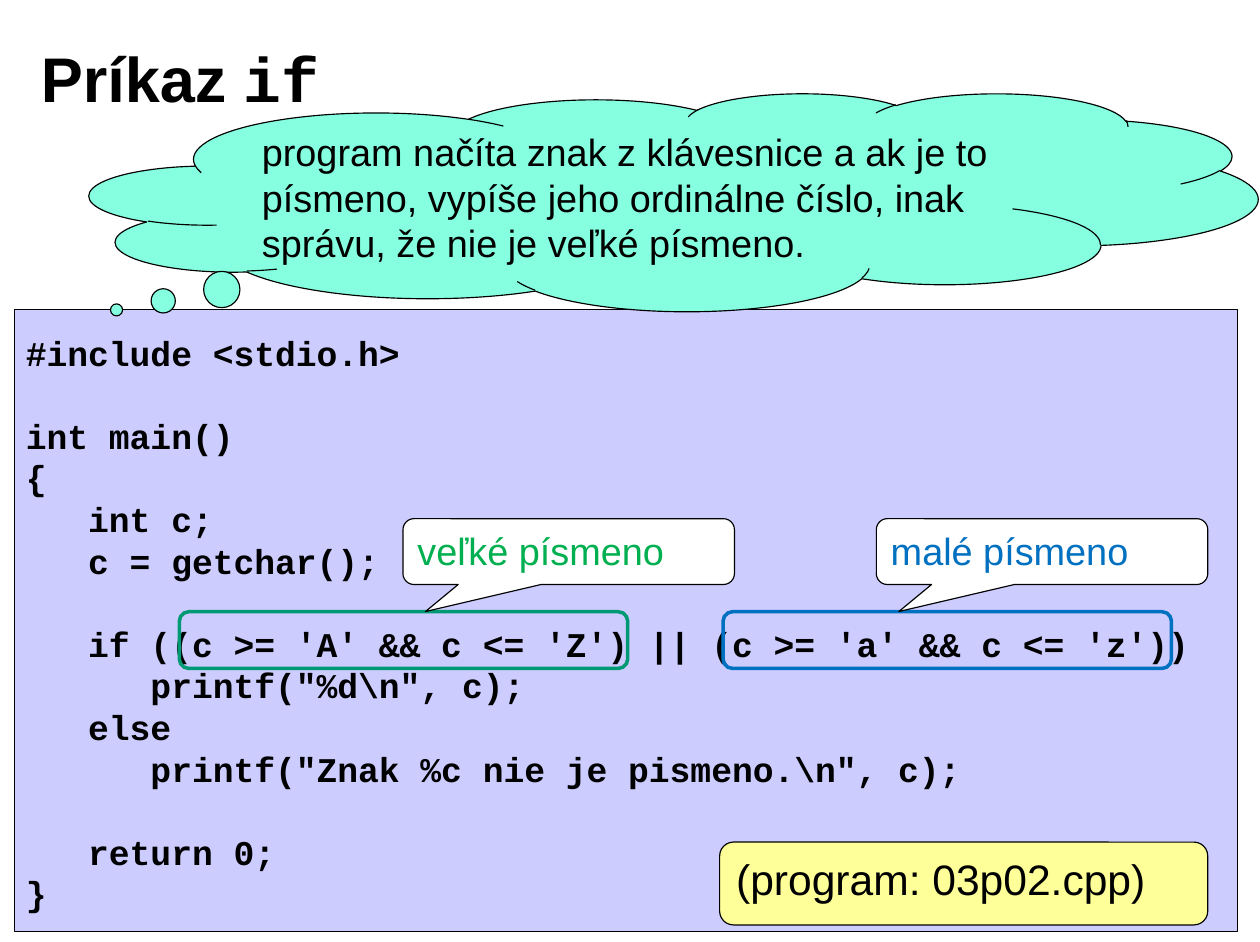
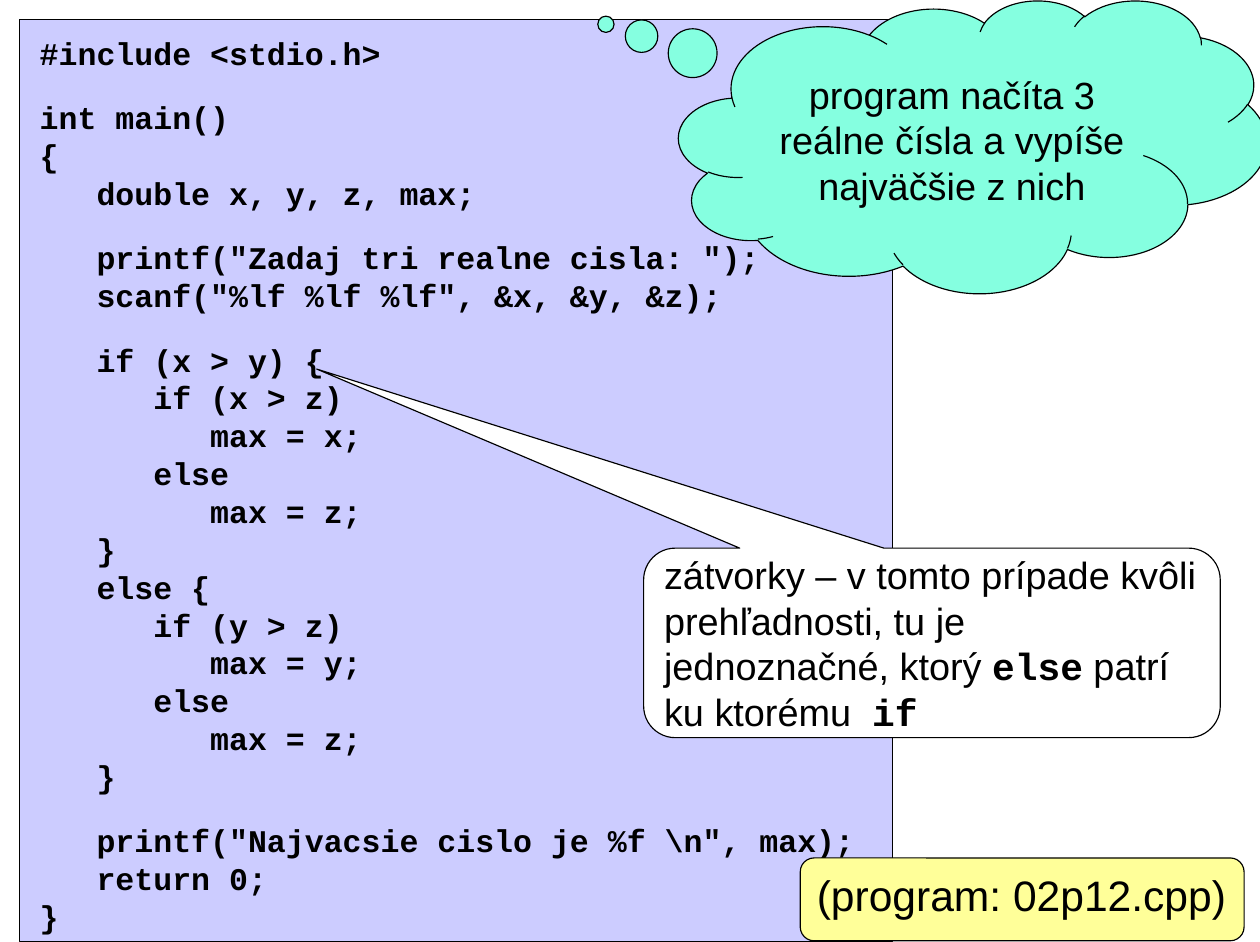
from pptx import Presentation
from pptx.dml.color import RGBColor
from pptx.enum.shapes import MSO_SHAPE as SHAPE
from pptx.enum.text import MSO_ANCHOR as ANCHOR, MSO_AUTO_SIZE as AUTOSIZE, PP_ALIGN as ALIGN
from pptx.util import Inches, Pt

# Shared style
BLACK = RGBColor(0x00, 0x00, 0x00)
WHITE = RGBColor(0xFF, 0xFF, 0xFF)
LAVENDER = RGBColor(0xCC, 0xCC, 0xFF)
MINT = RGBColor(0x85, 0xFF, 0xE0)
YELLOW = RGBColor(0xFF, 0xFF, 0x99)
FRAME_GREEN = RGBColor(0x00, 0x99, 0x73)
TEXT_GREEN = RGBColor(0x00, 0xB0, 0x50)
BLUE = RGBColor(0x00, 0x70, 0xC0)
SANS, MONO = "Arial", "Courier New"
LINE_HEIGHT = 1.2
CORNER = 0.167
TEXT_INSETS = (0.1, 0.05, 0.1, 0.05)
LABEL_INSETS = (0.11, 0.06, 0.11, 0.06)

LETTER_CODE = r"""#include <stdio.h>

int main()
{
   int c;
   c = getchar();

   if ((c >= 'A' && c <= 'Z') || (c >= 'a' && c <= 'z'))
      printf("%d\n", c);
   else
      printf("Znak %c nie je pismeno.\n", c);

   return 0;
}"""

MAXIMUM_CODE = r"""#include <stdio.h>

int main()
{
   double x, y, z, max;

   printf("Zadaj tri realne cisla: ");
   scanf("%lf %lf %lf", &x, &y, &z);

   if (x > y) {
      if (x > z)
         max = x;
      else
         max = z;
   }
   else {
      if (y > z)
         max = y;
      else
         max = z;
   }

   printf("Najvacsie cislo je %f \n", max);
   return 0;
}"""


def add_run(p, text, size, font=SANS, color=BLACK, bold=False):
    r = p.add_run()
    r.text = text
    r.font.size = Pt(size)
    r.font.name = font
    r.font.bold = bold
    r.font.color.rgb = color


def set_frame(tf, insets, anchor):
    tf.word_wrap = True
    tf.auto_size = AUTOSIZE.NONE
    tf.vertical_anchor = anchor
    tf.margin_left, tf.margin_top, tf.margin_right, tf.margin_bottom = map(Inches, insets)


def add_box(s, kind, at, fill=None, line=BLACK, width=0.75, adj=(),
            insets=TEXT_INSETS, anchor=ANCHOR.TOP):
    sp = s.shapes.add_shape(kind, *map(Inches, at))
    sp.shadow.inherit = False
    if fill is None:
        sp.fill.background()
    else:
        sp.fill.solid()
        sp.fill.fore_color.rgb = fill
    sp.line.color.rgb = line
    sp.line.width = Pt(width)
    for i, value in enumerate(adj):
        sp.adjustments[i] = value
    set_frame(sp.text_frame, insets, anchor)
    p = sp.text_frame.paragraphs[0]
    p.alignment = ALIGN.LEFT
    return sp


def add_title(s, at, *parts):
    title = s.shapes.title
    title.left, title.top, title.width, title.height = map(Inches, at)
    set_frame(title.text_frame, LABEL_INSETS, ANCHOR.MIDDLE)
    p = title.text_frame.paragraphs[0]
    p.alignment = ALIGN.LEFT
    for text, font in parts:
        add_run(p, text, 40, font, bold=True)


def add_code(s, at, code, size, gap, insets):
    """Code panel; an empty source line becomes space before the next line."""
    tf = add_box(s, SHAPE.RECTANGLE, at, LAVENDER, insets=insets).text_frame
    p, blank = tf.paragraphs[0], False
    for i, line in enumerate(code.split("\n")):
        if not line:
            blank = True
            continue
        if i:
            p = tf.add_paragraph()
            p.alignment = ALIGN.LEFT
        if blank:
            p.space_before = Pt(gap * LINE_HEIGHT)
            blank = False
        add_run(p, line, size, MONO, bold=True)


def add_cloud(s, at, adj, text, align):
    sp = add_box(s, SHAPE.CLOUD_CALLOUT, at, MINT, adj=adj, anchor=ANCHOR.MIDDLE)
    p = sp.text_frame.paragraphs[0]
    p.alignment = align
    add_run(p, text, 24)


def add_callout(s, at, tip, parts, color=BLACK, anchor=ANCHOR.TOP):
    sp = add_box(s, SHAPE.ROUNDED_RECTANGULAR_CALLOUT, at, WHITE,
                 adj=(*tip, CORNER), anchor=anchor)
    for text, font in parts:
        add_run(sp.text_frame.paragraphs[0], text, 24, font, color, font == MONO)


def add_file_label(s, at, file_name):
    sp = add_box(s, SHAPE.ROUNDED_RECTANGLE, at, YELLOW, adj=(CORNER,), insets=LABEL_INSETS)
    add_run(sp.text_frame.paragraphs[0], f"(program: {file_name})", 27)


def build_letter_slide(prs):
    s = prs.slides.add_slide(prs.slide_layouts[5])
    add_title(s, (0.25, 0.17, 8.92, 1.02), ("Príkaz ", SANS), ("if", MONO))
    add_code(s, (0.13, 2.73, 10.77, 5.48), LETTER_CODE, 22, 22, (0.1, 0.19, 0.1, 0))
    add_cloud(s, (0.79, 0.82, 10.29, 1.92), (-0.477, 0.495),
              "program načíta znak z klávesnice a ak je to písmeno, vypíše jeho "
              "ordinálne číslo, inak správu, že nie je veľké písmeno.", ALIGN.LEFT)
    add_file_label(s, (6.34, 7.42, 4.3, 0.73), "03p02.cpp")

    # Marked conditions with their explanations
    for frame_x, callout_x, frame_color, text_color, text in (
            (1.58, 3.55, FRAME_GREEN, TEXT_GREEN, "veľké písmeno"),
            (6.37, 7.72, BLUE, BLUE, "malé písmeno")):
        add_box(s, SHAPE.ROUNDED_RECTANGLE, (frame_x, 5.39, 3.95, 0.5),
                line=frame_color, width=2.25)
        add_callout(s, (callout_x, 4.57, 2.92, 0.58), (-0.432, 0.911),
                    [(text, SANS)], text_color)


def build_maximum_slide(prs):
    s = prs.slides.add_slide(prs.slide_layouts[6])
    add_code(s, (0.17, 0.17, 7.69, 8.13), MAXIMUM_CODE, 20, 14, (0.18, 0.13, 0.1, 0))
    add_cloud(s, (5.98, 0, 5.18, 2.58), (-0.624, -0.417),
              "program načíta 3 reálne čísla a vypíše najväčšie z nich", ALIGN.CENTER)
    add_callout(s, (5.67, 4.83, 5.08, 1.67), (-1.067, -1.445), [
        ("zátvorky – v tomto prípade kvôli prehľadnosti, tu je jednoznačné, ktorý ", SANS),
        ("else", MONO), (" patrí ku ktorému  ", SANS), ("if", MONO)], anchor=ANCHOR.MIDDLE)
    add_file_label(s, (7.05, 7.56, 3.91, 0.73), "02p12.cpp")


def main():
    prs = Presentation()
    prs.slide_width, prs.slide_height = Inches(11.1), Inches(8.3)
    build_letter_slide(prs)
    build_maximum_slide(prs)
    prs.save("out.pptx")


if __name__ == "__main__":
    main()
